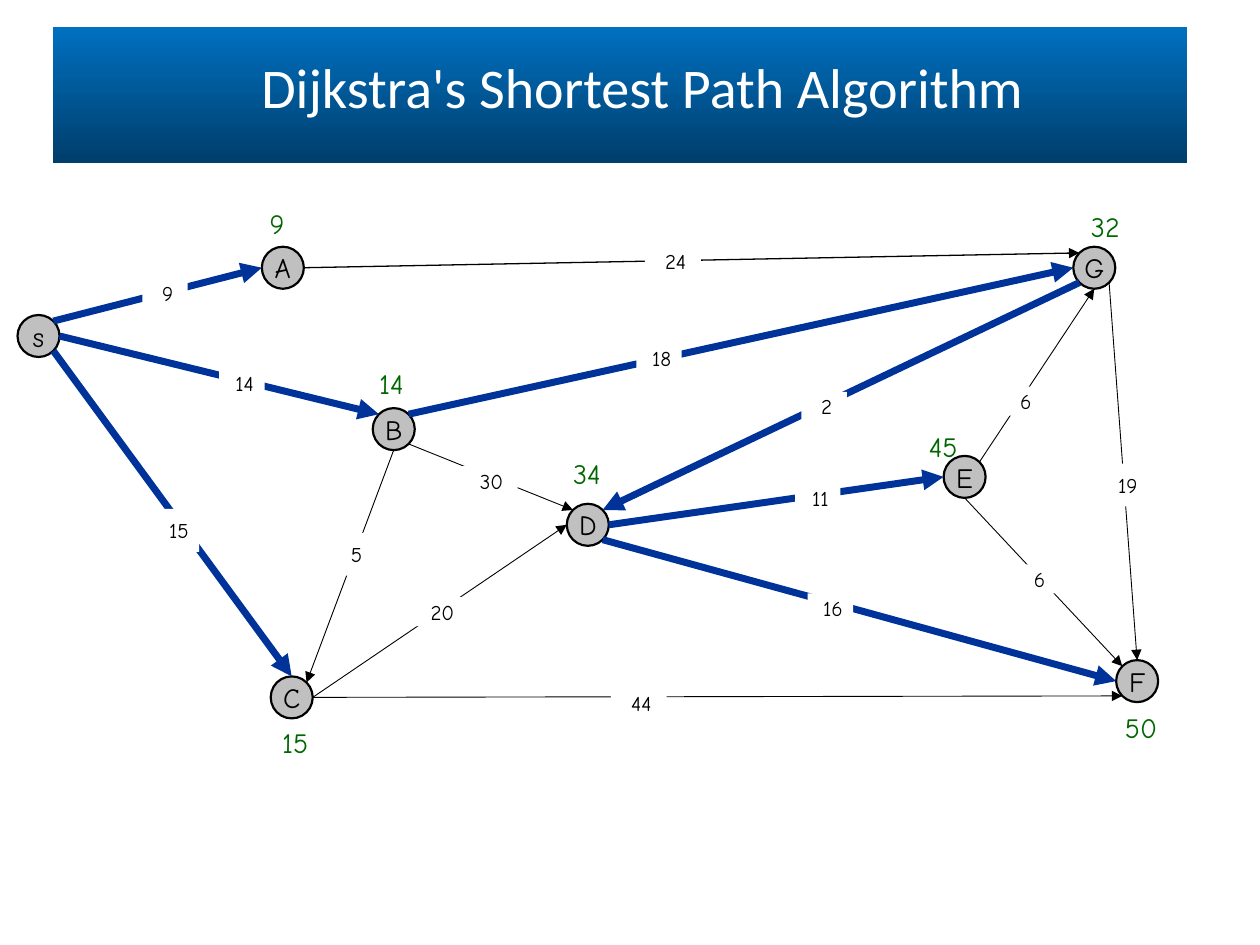
"""Build a slide showing Dijkstra's shortest paths on a weighted graph."""
import pptx
import pptx.util
import pptx.dml.color
import pptx.enum.shapes
import pptx.enum.text
import pptx.oxml
import pptx.oxml.ns

Pt = pptx.util.Pt
Kind = pptx.enum.shapes.MSO_SHAPE
HUES = {"top": "0070C0", "base": "003E6C", "node": "C0C0C0", "ink": "000000",
        "path": "003399", "cost": "006600", "white": "FFFFFF"}
HAND = "Comic Neue"
TITLE = "Dijkstra's Shortest Path Algorithm"
NODES = {"s": (22, 192), "G": (625.3, 153), "F": (649.8, 389.2), "A": (161.6, 153),
         "B": (225, 245.2), "C": (166.7, 398.5), "E": (551.2, 272.5), "D": (335.9, 299.9)}
COSTS = [("15", 168.7, 424.4), ("9", 158.3, 127.8), ("34", 335.4, 270.3),
         ("50", 652, 415.8), ("45", 539, 255.2), ("32", 631.6, 129.2), ("14", 223.6, 219.2)]
THICK, THIN, MID = ("path", 4), ("ink", 0.5), ("ink", 0.75)
EDGES = [("s", "NE", "A", "W", THICK), ("s", "E", "B", "NW", THICK),
         ("s", "SE", "C", "N", THICK), ("B", "NE", "G", "W", THICK),
         ("E", "NE", "G", "S", THIN), ("B", "SE", "D", "NW", THIN),
         ("D", "SE", "F", "W", THICK), ("D", "E", "E", "W", THICK),
         ("E", "S", "F", "NW", THIN), ("G", "SW", "D", "NE", THICK),
         ("B", "S", "C", "NE", THIN), ("C", "E", "D", "W", THIN),
         ("A", "E", "G", "NW", MID), ("C", "E", "F", "SW", THIN),
         ("G", "SE", "F", "N", THIN)]
LOW, HIGH = 16.6, 24.5
TAGS = [("24", 384.5, 149.4, 32, LOW), ("18", 376.6, 204.8, 26, LOW),
        ("2", 470.9, 232.2, 26, LOW), ("9", 94.3, 167.4, 26, LOW),
        ("14", 138.2, 219.2, 26, LOW), ("15", 100.8, 303.1, 26, HIGH),
        ("5", 202.3, 316.8, 26, HIGH), ("30", 279.4, 274.7, 33, LOW),
        ("20", 251.3, 349.6, 32, LOW), ("44", 365, 402.1, 32, LOW),
        ("16", 474.5, 347.4, 26, LOW), ("11", 467.3, 284.8, 26, LOW),
        ("6", 584.6, 229.3, 26, LOW), ("19", 643, 277.2, 26, HIGH),
        ("6", 592.6, 330.8, 26, LOW)]
RAD = 12
STEPS = {"N": (0, -1), "S": (0, 1), "E": (1, 0), "W": (-1, 0)}


def tint(name):
    return pptx.dml.color.RGBColor.from_string(HUES[name])


def write(shape, text, size, hue="ink", font=HAND, wrap=True, left=0, space=None):
    frame = shape.text_frame
    frame.word_wrap = wrap
    frame.margin_left = Pt(left)
    frame.margin_right = frame.margin_top = frame.margin_bottom = 0
    frame.vertical_anchor = pptx.enum.text.MSO_ANCHOR.MIDDLE
    para = frame.paragraphs[0]
    para.alignment = pptx.enum.text.PP_ALIGN.CENTER
    para.line_spacing = space
    run = para.add_run()
    run.text = text
    run.font.size, run.font.name = Pt(size), font
    run.font.color.rgb = tint(hue)


def centre(x, y, wide, high):
    return Pt(x - wide / 2), Pt(y - high / 2), Pt(wide), Pt(high)


def block(shapes, kind, place, hue=None):
    shape = shapes.add_shape(kind, *place)
    shape.shadow.inherit = False
    shape.line.fill.background()
    if hue:
        shape.fill.solid()
        shape.fill.fore_color.rgb = tint(hue)
    return shape


def port(node, side):
    x, y = NODES[node]
    reach = RAD if len(side) == 1 else RAD * 0.5 ** 0.5
    return [Pt(x + reach * sum(STEPS[c][0] for c in side)),
            Pt(y + reach * sum(STEPS[c][1] for c in side))]


def arrow(shapes, start, end, hue, width):
    link = shapes.add_connector(pptx.enum.shapes.MSO_CONNECTOR.STRAIGHT, *start, *end)
    link.line.color.rgb = tint(hue)
    link.line.width = Pt(width)
    ns = pptx.oxml.ns.nsdecls("a")
    link.line._get_or_add_ln().append(
        pptx.oxml.parse_xml(f'<a:tailEnd {ns} type="triangle"/>'))
    link._element.spPr.append(pptx.oxml.parse_xml(f"<a:effectLst {ns}/>"))


def main():
    deck = pptx.Presentation()
    deck.slide_width, deck.slide_height = Pt(720), Pt(540)
    shapes = deck.slides.add_slide(deck.slide_layouts[6]).shapes

    band = block(shapes, Kind.RECTANGLE, (Pt(30.3), Pt(15.3), Pt(648), Pt(77.8)))
    band.fill.gradient()
    band.fill.gradient_angle = 270
    for stop, hue in zip(band.fill.gradient_stops, ("top", "base")):
        stop.color.rgb = tint(hue)

    for name, (x, y) in NODES.items():
        disc = block(shapes, Kind.OVAL, centre(x, y, 2 * RAD, 2 * RAD), "node")
        disc.line.color.rgb = tint("ink")
        disc.line.width = Pt(1.25)
        write(disc, name, 16, wrap=False)

    for source, leave, target, enter, style in EDGES:
        arrow(shapes, port(source, leave), port(target, enter), *style)

    for text, *place in TAGS:
        tag = block(shapes, Kind.RECTANGLE, centre(*place), "white")
        write(tag, text, 12, left=3)

    for text, x, y in COSTS:
        write(shapes.add_textbox(*centre(x, y, 42.5, 26.6)), text, 16, hue="cost")

    head = shapes.add_textbox(Pt(7.2), Pt(36), Pt(720), Pt(36))
    write(head, TITLE, 32, hue="white", font="Calibri", space=0.7)
    deck.save("out.pptx")


if __name__ == "__main__":
    main()
